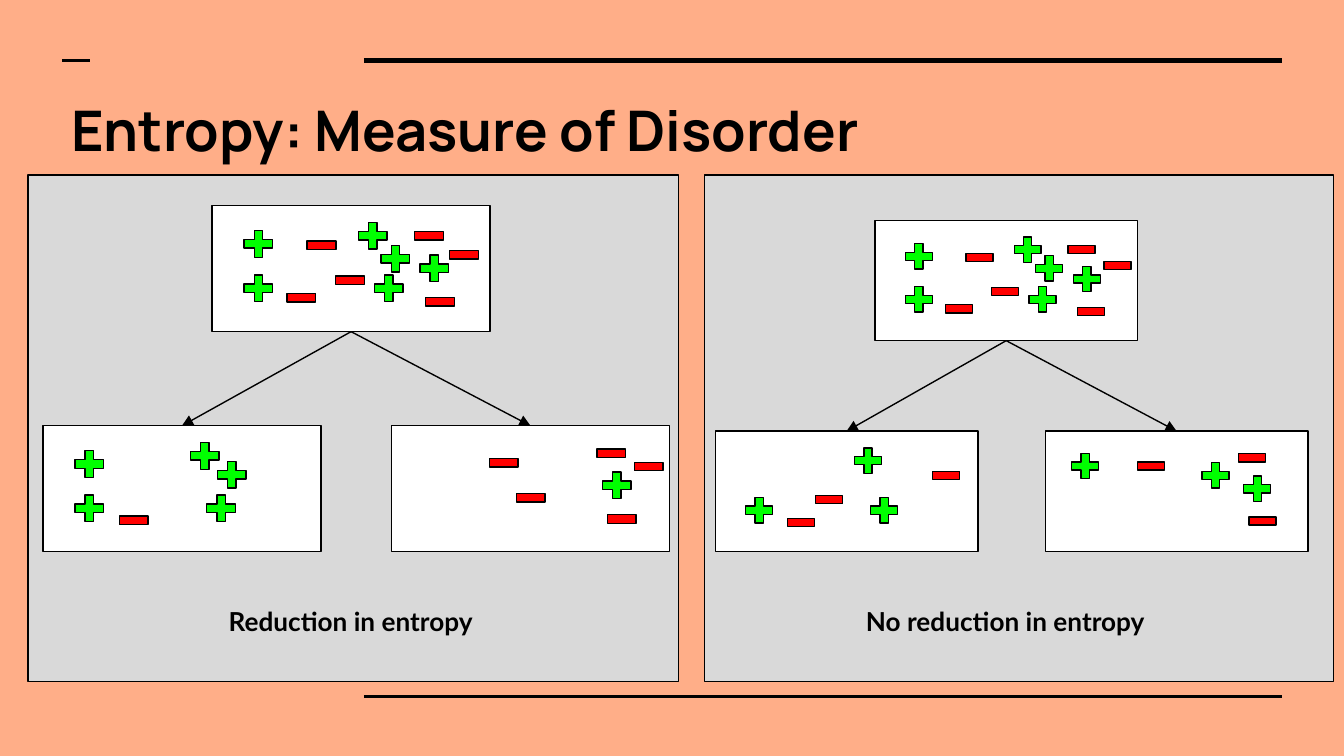
from pptx import Presentation
from pptx.dml.color import RGBColor
from pptx.enum import shapes, text
from pptx.oxml import parse_xml
from pptx.oxml.ns import nsdecls, qn
from pptx.util import Pt

BLACK, WHITE, GREY = "000000", "FFFFFF", "D9D9D9"
PEACH, GREEN, RED = "FFAE88", "00FF00", "FF0000"
RECT = shapes.MSO_SHAPE.RECTANGLE
PLUS = shapes.MSO_SHAPE.MATH_PLUS
MINUS = shapes.MSO_SHAPE.MATH_MINUS
BOTTOM, TOP = 2, 0


def colour(hex_string):
    return RGBColor.from_string(hex_string)


def write(shape, words, size=14, font="Lato", align=text.PP_ALIGN.LEFT,
          anchor=text.MSO_ANCHOR.TOP, top_inset=7.2):
    frame = shape.text_frame
    frame.word_wrap = True
    frame.vertical_anchor = anchor
    frame.margin_left = frame.margin_right = frame.margin_bottom = Pt(7.2)
    frame.margin_top = Pt(top_inset)
    para = frame.paragraphs[0]
    para.alignment = align
    span = para.add_run()
    span.text = words
    span.font.name, span.font.size, span.font.bold = font, Pt(size), True
    span.font.color.rgb = colour(BLACK)


class Painter:
    def __init__(self, page, line_width=0.75):
        self.page = page
        self.line_width = line_width

    def shape(self, kind, left, top, width, height, fill, outlined=True):
        shape = self.page.shapes.add_shape(
            kind, Pt(left), Pt(top), Pt(width), Pt(height))
        shape.shadow.inherit = False
        shape.fill.solid()
        shape.fill.fore_color.rgb = colour(fill)
        if outlined:
            shape.line.color.rgb = colour(BLACK)
            shape.line.width = Pt(self.line_width)
        else:
            shape.line.fill.background()
        return shape

    def line(self, x1, y1, x2, y2, width):
        line = self.page.shapes.add_connector(
            shapes.MSO_CONNECTOR.STRAIGHT, Pt(x1), Pt(y1), Pt(x2), Pt(y2))
        line.line.color.rgb = colour(BLACK)
        line.line.width = Pt(width)
        line._element.spPr.append(parse_xml(f"<a:effectLst {nsdecls('a')}/>"))
        return line

    def arrow(self, parent, child):
        arrow = self.line(0, 0, 0, 0, self.line_width)
        arrow.begin_connect(parent, BOTTOM)
        arrow.end_connect(child, TOP)
        arrow._element.spPr.find(qn("a:ln")).append(
            parse_xml(f'<a:tailEnd {nsdecls("a")} type="triangle"/>'))

    def title(self, words, left, top, width, height):
        box = self.page.shapes.add_textbox(
            Pt(left), Pt(top), Pt(width), Pt(height))
        write(box, words, size=30, font="Manrope", top_inset=5.5)

    def caption(self, words, left, top, width, height):
        box = self.shape(RECT, left, top, width, height, GREY, outlined=False)
        write(box, words, align=text.PP_ALIGN.CENTER,
              anchor=text.MSO_ANCHOR.MIDDLE)

    def sample(self, left, top, size, mark_size, pluses, minuses):
        """A white box with marks placed relative to its corner."""
        box = self.shape(RECT, left, top, *size, WHITE)
        for kind, fill, offsets in ((PLUS, GREEN, pluses),
                                    (MINUS, RED, minuses)):
            for x, y in offsets:
                self.shape(kind, left + x, top + y, *mark_size, fill)
        return box

    def split(self, panel, size, mark_size, samples, caption, caption_left):
        """A panel where the first sample is split into the others."""
        self.shape(RECT, *panel, GREY)
        parent, *children = [
            self.sample(left, top, size, mark_size, pluses, minuses)
            for left, top, pluses, minuses in samples]
        for child in children:
            self.arrow(parent, child)
        self.caption(caption, caption_left, 311.8, 248.4, 41.8)


# Samples: left, top, offsets of pluses, offsets of minuses
REDUCED = [
    (113.6, 110.2,
     [(14.4, 10.8), (14.4, 34.6), (108.7, 23.8), (84.2, 34.6),
      (75.6, 6.5), (87.8, 18.7)],
     [(48.2, 11.5), (63.4, 30.2), (111.6, 41.8), (105.8, 6.5),
      (37.4, 39.6), (124.6, 16.6)]),
    (23, 228.1,
     [(14.4, 10.8), (14.4, 34.6), (85, 34.6), (76.3, 6.5), (90.7, 16.6)],
     [(38.2, 41)]),
    (209.7, 228.1,
     [(110.2, 22.3)],
     [(49.7, 10.1), (64.1, 28.8), (113, 40.3), (107.3, 5), (127.4, 12.2)]),
]
UNREDUCED = [
    (468.7, 118,
     [(13.7, 10.1), (13.7, 33.1), (103.7, 22.3), (79.9, 33.1),
      (72, 6.5), (83.5, 16.6)],
     [(46.1, 10.8), (59.8, 28.8), (105.8, 39.6), (100.8, 6.5),
      (35.3, 38.2), (120.2, 15.1)]),
    (383.2, 231,
     [(13.7, 33.1), (80.6, 33.1), (72, 6.5)],
     [(36, 39.6), (51.1, 27.4), (113.8, 14.4)]),
    (560, 231,
     [(103.7, 21.6), (11.5, 9.4), (81.4, 14.4)],
     [(46.8, 9.4), (106.6, 38.9), (100.8, 5)]),
]


def main():
    deck = Presentation()
    deck.slide_width, deck.slide_height = Pt(720), Pt(405)
    page = deck.slides.add_slide(deck.slide_layouts[6])
    page.background.fill.solid()
    page.background.fill.fore_color.rgb = colour(PEACH)
    painter = Painter(page)

    # Decorative rules
    for x1, x2, y, width in ((195, 687, 32.5, 3), (195, 687, 373, 1.5),
                             (33.5, 48, 32.5, 1.5)):
        painter.line(x1, y, x2, y, width)

    # Title
    painter.title("Entropy: Measure of Disorder", 31, 45.4, 497.5, 49.7)

    # Two splits side by side
    painter.split((15, 93.8, 348.5, 271.5), (149, 67.5), (20.9, 19.4),
                  REDUCED, "Reduction in entropy", 63.7)
    painter.split((377.3, 93.8, 337, 271.5), (140.7, 64.5), (19.7, 18.5),
                  UNREDUCED, "No reduction in entropy", 414.4)

    deck.save("out.pptx")


if __name__ == "__main__":
    main()
